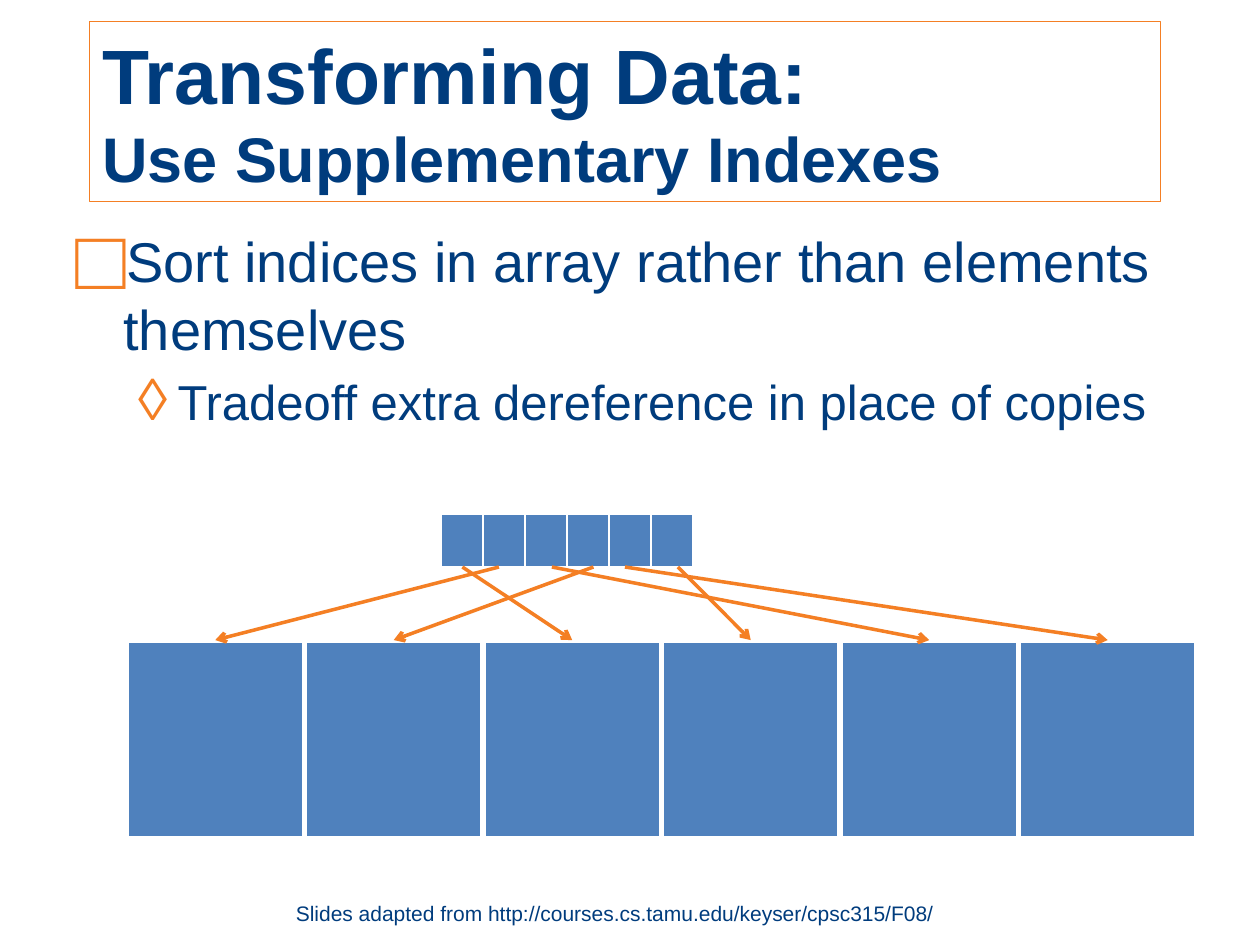
from lxml import etree
from pptx import Presentation
from pptx.dml.color import RGBColor
from pptx.enum.shapes import MSO_CONNECTOR, MSO_SHAPE
from pptx.enum.text import MSO_ANCHOR, MSO_AUTO_SIZE, PP_ALIGN
from pptx.oxml.ns import qn
from pptx.util import Inches, Pt

RECTANGLE = MSO_SHAPE.RECTANGLE
STRAIGHT = MSO_CONNECTOR.STRAIGHT
MIDDLE, TOP = MSO_ANCHOR.MIDDLE, MSO_ANCHOR.TOP
NO_AUTOFIT, GROW = MSO_AUTO_SIZE.NONE, MSO_AUTO_SIZE.SHAPE_TO_FIT_TEXT
LEFT = PP_ALIGN.LEFT

FONT = "Arial"
NAVY, ORANGE, BLUE, WHITE = "003C7D", "F47F24", "4F81BD", "FFFFFF"

CELLS = 6
INDEX_LEFT, INDEX_TOP, INDEX_WIDTH, INDEX_HEIGHT = 3.5, 4.08, 1 / 3, 0.42
DATA_LEFT, DATA_TOP, DATA_WIDTH, DATA_HEIGHT = 1, 5.08, 8.5 / 6, 1.58
INDEX_LINKS = [(3.67, 2), (4.71, 1), (3.96, 0), (4.38, 4), (4.96, 5), (5.38, 3)]


def color(hex_code):
    """Turn a hex string into a colour."""
    return RGBColor.from_string(hex_code)


def place(shape, left, top, width, height):
    """Move and size a shape, in inches."""
    shape.left, shape.top = Inches(left), Inches(top)
    shape.width, shape.height = Inches(width), Inches(height)


def style_line(line, hex_code, points):
    """Set the colour and width of a line."""
    line.color.rgb = color(hex_code)
    line.width = Pt(points)


def add_run(paragraph, text, size, bold=False):
    """Add one run of navy text."""
    run = paragraph.add_run()
    run.text = text
    run.font.name, run.font.size, run.font.bold = FONT, Pt(size), bold
    run.font.color.rgb = color(NAVY)


def set_bullet(paragraph, char, percent, margin, indent):
    """Give a paragraph an orange bullet and a hanging indent."""
    properties = paragraph._p.get_or_add_pPr()
    properties.set("marL", str(Inches(margin)))
    properties.set("indent", str(Inches(indent)))
    bullet_color = etree.SubElement(properties, qn("a:buClr"))
    etree.SubElement(bullet_color, qn("a:srgbClr"), val=ORANGE)
    etree.SubElement(properties, qn("a:buSzPct"), val=str(percent * 1000))
    etree.SubElement(properties, qn("a:buFont"), typeface=FONT)
    etree.SubElement(properties, qn("a:buChar"), char=char)


def fill_title(title):
    """Write the two-line framed title."""
    place(title, 0.71, 0.17, 8.5, 1.43)
    style_line(title.line, ORANGE, 1)
    frame = title.text_frame
    frame.auto_size, frame.vertical_anchor = NO_AUTOFIT, MIDDLE
    heading = frame.paragraphs[0]
    heading.alignment = LEFT
    add_run(heading, "Transforming Data:", 44, True)
    heading.add_line_break()
    add_run(heading, "Use Supplementary Indexes", 36, True)


def fill_body(body):
    """Write the bulleted list."""
    place(body, 0.5, 1.75, 9, 5.17)
    frame = body.text_frame
    frame.auto_size, frame.vertical_anchor = NO_AUTOFIT, TOP
    point = frame.paragraphs[0]
    set_bullet(point, "□", 150, 0.38, -0.38)
    add_run(point, "Sort indices in array rather than elements themselves", 32)
    tradeoff = frame.add_paragraph()
    tradeoff.level = 1
    set_bullet(tradeoff, "◊", 120, 0.81, -0.31)
    add_run(tradeoff, "Tradeoff extra dereference in place of copies", 28)


def add_array(slide, left, top, width, height, border):
    """Draw a row of adjoining array cells."""
    for position in range(CELLS):
        cell = slide.shapes.add_shape(
            RECTANGLE, Inches(left + position * width), Inches(top),
            Inches(width), Inches(height))
        cell.shadow.inherit = False
        cell.fill.solid()
        cell.fill.fore_color.rgb = color(BLUE)
        style_line(cell.line, WHITE, border)


def add_arrow(slide, start_x, start_y, end_x, end_y):
    """Draw an orange arrow between two points."""
    arrow = slide.shapes.add_connector(
        STRAIGHT, Inches(start_x), Inches(start_y), Inches(end_x), Inches(end_y))
    style_line(arrow.line, ORANGE, 2)
    etree.SubElement(arrow.line._get_or_add_ln(), qn("a:tailEnd"), type="arrow")
    etree.SubElement(arrow._element.spPr, qn("a:effectLst"))


def add_credit(slide):
    """Add the source line at the foot of the slide."""
    credit = slide.shapes.add_textbox(
        Inches(2.25), Inches(7.1), Inches(5.33), Inches(0.3))
    frame = credit.text_frame
    frame.word_wrap, frame.auto_size = True, GROW
    add_run(frame.paragraphs[0],
            "Slides adapted from http://courses.cs.tamu.edu/keyser/cpsc315/F08/", 12)


def main():
    """Build and save the slide."""
    deck = Presentation()
    deck.slide_width, deck.slide_height = Inches(10), Inches(7.5)
    slide = deck.slides.add_slide(deck.slide_layouts[1])
    fill_title(slide.shapes.title)
    fill_body(slide.placeholders[1])
    add_array(slide, DATA_LEFT, DATA_TOP, DATA_WIDTH, DATA_HEIGHT, 3)
    add_array(slide, INDEX_LEFT, INDEX_TOP, INDEX_WIDTH, INDEX_HEIGHT, 1)
    for index_x, target in INDEX_LINKS:
        target_x = DATA_LEFT + (target + 0.5) * DATA_WIDTH
        add_arrow(slide, index_x, INDEX_TOP + INDEX_HEIGHT, target_x, DATA_TOP)
    add_credit(slide)
    deck.save("out.pptx")


main()
